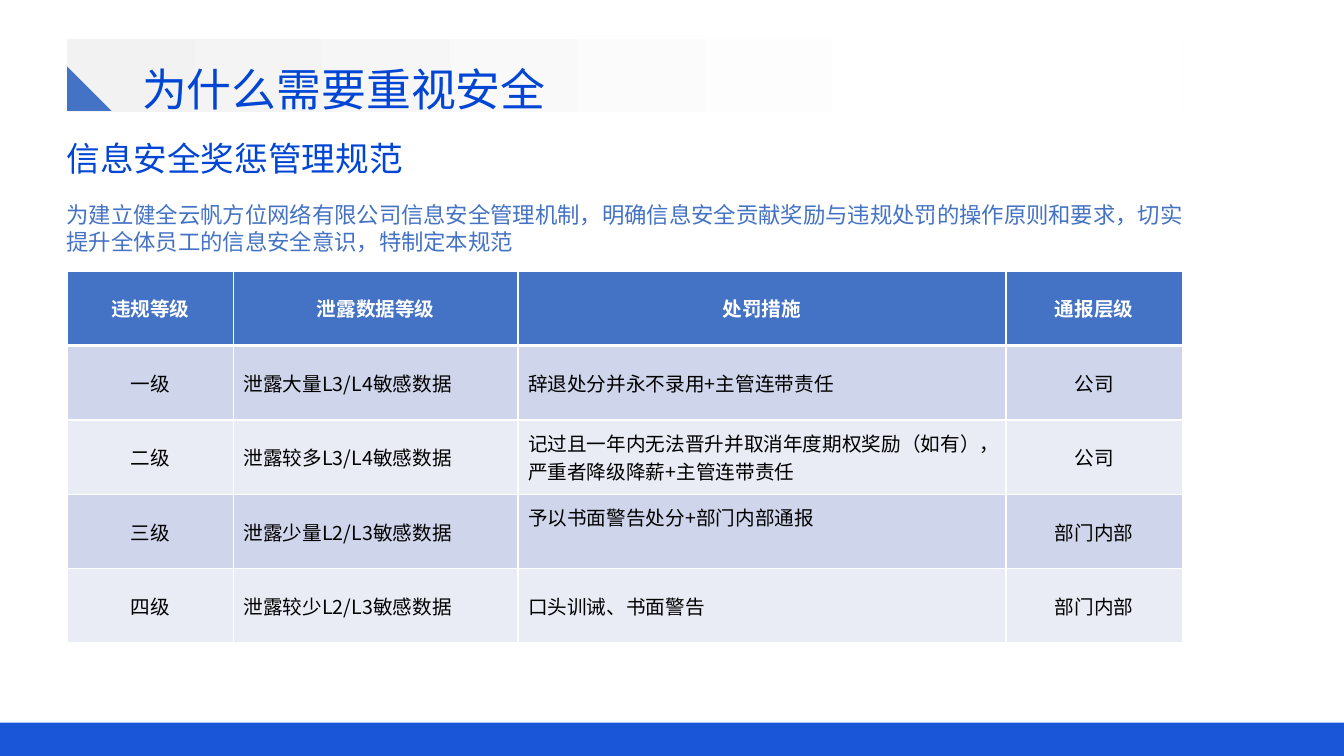
from lxml.etree import SubElement
from pptx import Presentation
from pptx.dml.color import RGBColor
from pptx.enum.shapes import MSO_SHAPE as Preset
from pptx.enum.text import MSO_ANCHOR as Anchor, MSO_AUTO_SIZE as AutoSize, PP_ALIGN as Align
from pptx.oxml.ns import qn
from pptx.util import Inches, Pt

COLORS = {
    "brand": "0045D4", "accent": "4472C4", "white": "FFFFFF", "ink": "000000",
    "mist": "F2F2F2", "band_dark": "CFD5EA", "band_light": "E9EBF5",
}
FONT = "Noto Sans CJK SC"
LEFT, WIDTH = 5, 83

HEADER = ["违规等级", "泄露数据等级", "处罚措施", "通报层级"]
LEVELS = [
    ["一级", "泄露大量L3/L4敏感数据", "辞退处分并永不录用+主管连带责任", "公司"],
    ["二级", "泄露较多L3/L4敏感数据",
     "记过且一年内无法晋升并取消年度期权奖励（如有），严重者降级降薪+主管连带责任", "公司"],
    ["三级", "泄露少量L2/L3敏感数据", "予以书面警告处分+部门内部通报", "部门内部"],
    ["四级", "泄露较少L2/L3敏感数据", "口头训诫、书面警告", "部门内部"],
]
COLUMN_WIDTHS = [12.38, 21.16, 36.31, 13.13]
COLUMN_ALIGNS = [Align.CENTER, Align.LEFT, Align.LEFT, Align.CENTER]
ROW_HEIGHT = 9.84
WARNING_CELL = (3, 2)


def rgb(name):
    return RGBColor.from_string(COLORS[name])


class SlideBuilder:
    """Draws on one slide; every length is a percentage of the slide's size."""

    def __init__(self, deck):
        self.deck = deck
        self.slide = deck.slides.add_slide(deck.slide_layouts[1])

    def across(self, share):
        return round(self.deck.slide_width * share / 100)

    def down(self, share):
        return round(self.deck.slide_height * share / 100)

    def frame(self, x, y, width, height):
        return self.across(x), self.down(y), self.across(width), self.down(height)

    def style(self, paragraph, size, color, align=Align.LEFT, bold=False):
        paragraph.alignment = align
        font = paragraph.font
        font.size, font.bold, font.name = Pt(size), bold, FONT
        font.color.rgb = rgb(color)
        SubElement(font._rPr, qn("a:ea"), typeface=FONT)

    def shape(self, preset, box, color, opacity=100):
        shape = self.slide.shapes.add_shape(preset, *self.frame(*box))
        shape.shadow.inherit = False
        shape.line.fill.background()
        shape.fill.solid()
        shape.fill.fore_color.rgb = rgb(color)
        if opacity < 100:
            tint = shape.fill._xPr.find(".//" + qn("a:srgbClr"))
            SubElement(tint, qn("a:alpha"), val=str(opacity * 1000))
        return shape

    def fading_band(self, box, start, end):
        band = self.shape(Preset.ROUNDED_RECTANGLE, box, start)
        band.adjustments[0] = 0
        band.fill.gradient()
        band.fill.gradient_angle = 0
        for stop, color, position in zip(band.fill.gradient_stops, (start, end), (0, 0.8)):
            stop.color.rgb = rgb(color)
            stop.position = position

    def placeholder(self, index, box, lines, indent=0.1):
        """Fill a placeholder with (text, size, color, space before) lines, in front."""
        holder = self.slide.placeholders[index]
        holder.left, holder.top, holder.width, holder.height = self.frame(*box)
        self.slide.shapes._spTree.append(holder._element)
        frame = holder.text_frame
        frame.text = "\n".join(line[0] for line in lines)
        frame.word_wrap, frame.auto_size = True, AutoSize.NONE
        frame.vertical_anchor = Anchor.TOP
        frame.margin_left = Inches(indent)
        for paragraph, (_, size, color, before) in zip(frame.paragraphs, lines):
            paragraph.line_spacing = Pt(size * 1.2)
            paragraph.space_before = Pt(before)
            properties = paragraph._p.get_or_add_pPr()
            properties.set("marL", "0")
            properties.set("indent", "0")
            SubElement(properties, qn("a:buNone"))
            self.style(paragraph, size, color)

    def borders(self, cell, top, bottom):
        properties = cell._tc.get_or_add_tcPr()
        for side, points in (("L", 1), ("R", 1), ("T", top), ("B", bottom)):
            line = SubElement(properties, qn("a:ln" + side), w=str(Pt(points)))
            fill = SubElement(line, qn("a:solidFill"))
            SubElement(fill, qn("a:srgbClr"), val=COLORS["white"])

    def table(self, x, y, rows):
        box = self.frame(x, y, sum(COLUMN_WIDTHS), ROW_HEIGHT * len(rows))
        table = self.slide.shapes.add_table(len(rows), len(COLUMN_WIDTHS), *box).table
        table.horz_banding = False
        for column, width in zip(table.columns, COLUMN_WIDTHS):
            column.width = self.across(width)
        for r, texts in enumerate(rows):
            table.rows[r].height = self.down(ROW_HEIGHT)
            header = r == 0
            fill = "accent" if header else ("band_light", "band_dark")[r % 2]
            for c, text in enumerate(texts):
                cell = table.cell(r, c)
                cell.text = text
                cell.vertical_anchor = Anchor.MIDDLE
                self.borders(cell, 3 if r == 1 else 1, 3 if header else 1)
                cell.fill.solid()
                cell.fill.fore_color.rgb = rgb(fill)
                self.style(cell.text_frame.paragraphs[0], 14, "white" if header else "ink",
                           Align.CENTER if header else COLUMN_ALIGNS[c], header)
        return table


def main():
    deck = Presentation()
    deck.slide_width, deck.slide_height = Inches(13.33), Inches(7.5)
    page = SlideBuilder(deck)

    page.shape(Preset.RECTANGLE, (0, 95.6, 100, 4.4), "brand", opacity=90)
    page.fading_band((LEFT, 5.2, WIDTH, 9.6), "mist", "white")
    page.placeholder(0, (6, 7.47, 41.5, 8.5), [("为什么需要重视安全", 32, "brand", 0)], indent=0.61)
    page.placeholder(1, (4.2, 17.6, 85.45, 17), [
        ("信息安全奖惩管理规范", 24, "brand", 0),
        ("为建立健全云帆方位网络有限公司信息安全管理机制，明确信息安全贡献奖励与违规处罚的"
         "操作原则和要求，切实提升全体员工的信息安全意识，特制定本规范", 16, "accent", 16),
    ])
    penalties = page.table(LEFT, 35.87, [HEADER] + LEVELS)
    penalties.cell(*WARNING_CELL).margin_bottom = Inches(0.33)
    page.shape(Preset.RIGHT_TRIANGLE, (LEFT, 8.8, 3.3, 5.87), "accent")

    deck.save("out.pptx")


if __name__ == "__main__":
    main()
